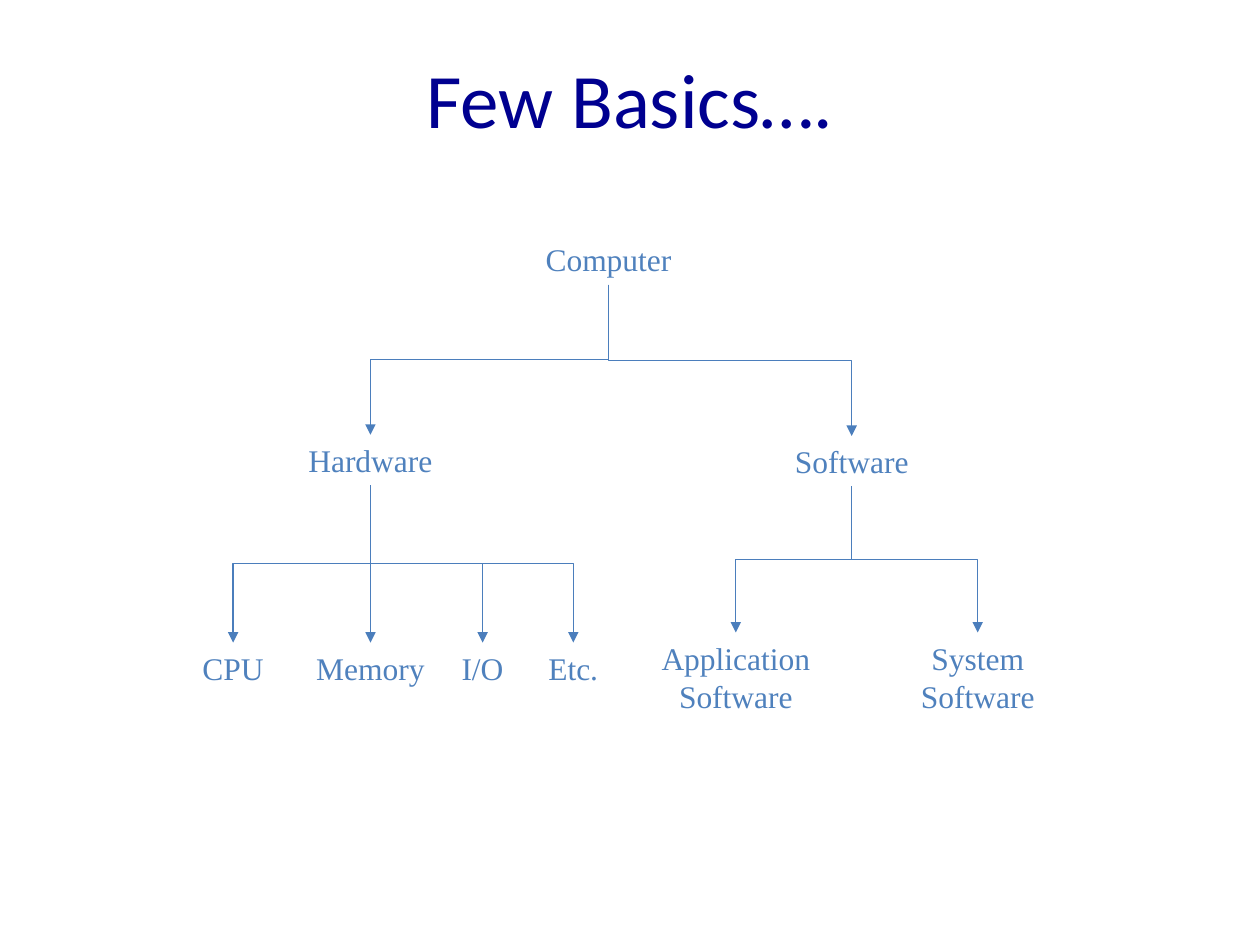
from dataclasses import dataclass

from lxml import etree
from pptx import Presentation
from pptx.dml.color import RGBColor
from pptx.enum.shapes import MSO_CONNECTOR
from pptx.enum.text import MSO_ANCHOR, MSO_AUTO_SIZE, PP_ALIGN
from pptx.oxml.ns import qn
from pptx.shapes.autoshape import Shape
from pptx.shapes.shapetree import SlideShapes
from pptx.util import Inches, Pt

ELBOW = MSO_CONNECTOR.ELBOW
CENTER = PP_ALIGN.CENTER
MIDDLE = MSO_ANCHOR.MIDDLE
FIT_SHAPE = MSO_AUTO_SIZE.SHAPE_TO_FIT_TEXT

COLORS = {"title": "000090", "label": "4F81BD", "arrow": "4B7EBC"}
LINE_HEIGHTS = {1: 0.4, 2: 0.71}
BOTTOM, TOP = 2, 0


@dataclass(frozen=True)
class Node:
    lines: tuple[str, ...]
    center: float
    top: float
    width: float
    children: tuple["Node", ...] = ()

    @property
    def bottom(self) -> float:
        return self.top + LINE_HEIGHTS[len(self.lines)]


HARDWARE = Node(("Hardware",), 2.94, 3.45, 1.2, (
    Node(("CPU",), 1.85, 5.1, 0.69),
    Node(("Memory",), 2.94, 5.1, 1.07),
    Node(("I/O",), 3.83, 5.1, 0.54),
    Node(("Etc.",), 4.55, 5.1, 0.6),
))
SOFTWARE = Node(("Software",), 6.76, 3.46, 1.11, (
    Node(("Application", "Software"), 5.84, 5.02, 1.39),
    Node(("System", "Software"), 7.76, 5.02, 1.11),
))
COMPUTER = Node(("Computer",), 4.83, 1.86, 1.21, (HARDWARE, SOFTWARE))


def add_text(shapes: SlideShapes, lines: tuple[str, ...], left: float, top: float,
             width: float, height: float, size: int, font: str, color: str) -> Shape:
    box = shapes.add_textbox(Inches(left), Inches(top), Inches(width), Inches(height))
    frame = box.text_frame
    for index, line in enumerate(lines):
        paragraph = frame.add_paragraph() if index else frame.paragraphs[0]
        paragraph.alignment = CENTER
        run = paragraph.add_run()
        run.text = line
        run.font.size = Pt(size)
        run.font.name = font
        run.font.color.rgb = RGBColor.from_string(COLORS[color])
    return box


def add_arrow(shapes: SlideShapes, parent: Node, parent_box: Shape,
              child: Node, child_box: Shape) -> None:
    """Join parent to child with an elbow that leaves and arrives vertically."""
    arrow = shapes.add_connector(ELBOW, 0, 0, 0, 0)
    arrow.begin_connect(parent_box, BOTTOM)
    arrow.end_connect(child_box, TOP)

    # The preset runs sideways, so its frame is laid flat and turned upright.
    drop = child.top - parent.bottom
    shift = child.center - parent.center
    middle_x = (parent.center + child.center) / 2
    middle_y = (parent.bottom + child.top) / 2
    arrow.left, arrow.top = Inches(middle_x - drop / 2), Inches(middle_y - abs(shift) / 2)
    arrow.width, arrow.height = Inches(drop), Inches(abs(shift))
    properties = arrow._element.spPr
    frame = properties.find(qn("a:xfrm"))
    for flip in ("flipH", "flipV"):
        frame.attrib.pop(flip, None)
    frame.set("rot", str((270 if shift > 0 else 90) * 60000))
    if shift > 0:
        frame.set("flipH", "1")

    arrow.line.width = Pt(0.75)
    arrow.line.color.rgb = RGBColor.from_string(COLORS["arrow"])
    etree.SubElement(properties.find(qn("a:ln")), qn("a:tailEnd"), type="triangle")
    etree.SubElement(properties, qn("a:effectLst"))


def add_tree(shapes: SlideShapes, node: Node) -> Shape:
    """Draw a node and everything below it, and return the node's box."""
    box = add_text(shapes, node.lines, node.center - node.width / 2, node.top,
                   node.width, node.bottom - node.top, 18, "Times New Roman", "label")
    box.text_frame.word_wrap = False
    box.text_frame.auto_size = FIT_SHAPE
    for child in node.children:
        add_arrow(shapes, node, box, child, add_tree(shapes, child))
    return box


def main() -> None:
    presentation = Presentation()
    presentation.slide_width, presentation.slide_height = Inches(10), Inches(7.5)
    shapes = presentation.slides.add_slide(presentation.slide_layouts[6]).shapes

    title = add_text(shapes, ("Few Basics….",), 0, 0, 10, 1.55, 44, "Calibri", "title")
    title.text_frame.word_wrap = True
    title.text_frame.vertical_anchor = MIDDLE
    add_tree(shapes, COMPUTER)

    presentation.save("out.pptx")


if __name__ == "__main__":
    main()
